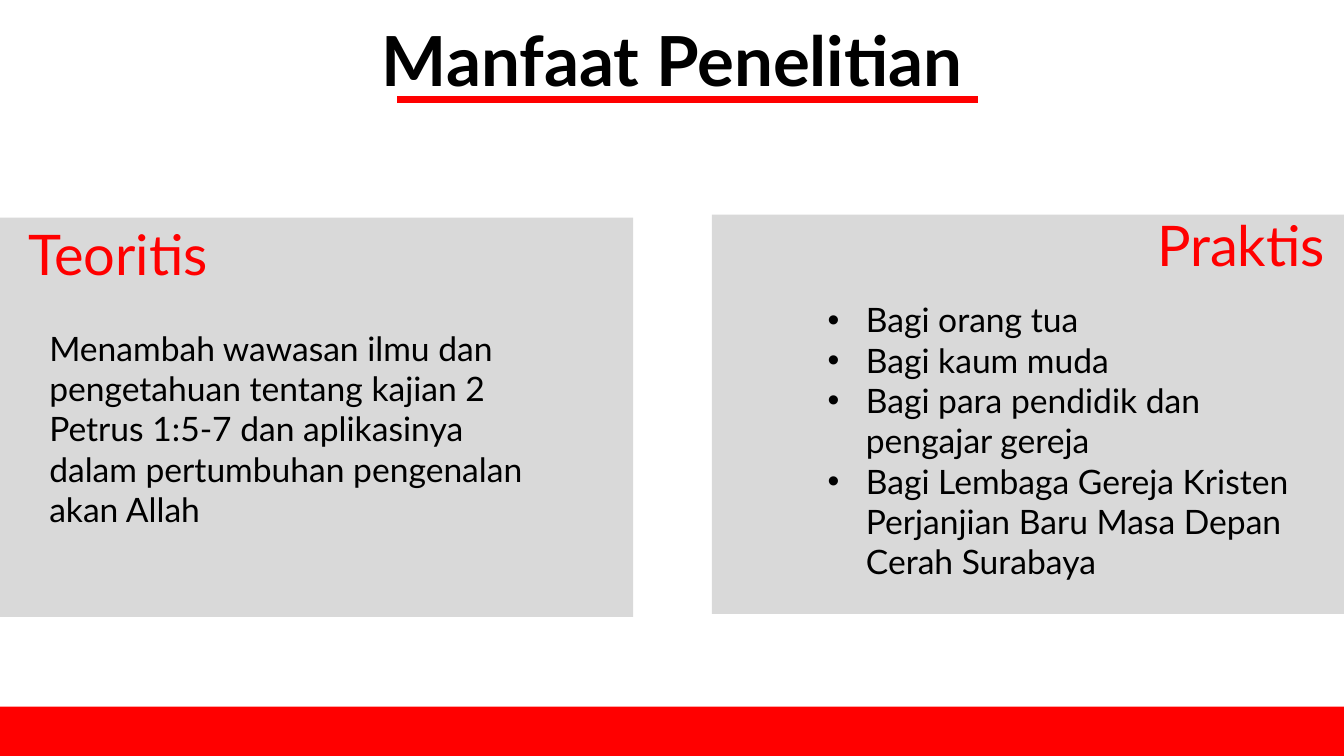
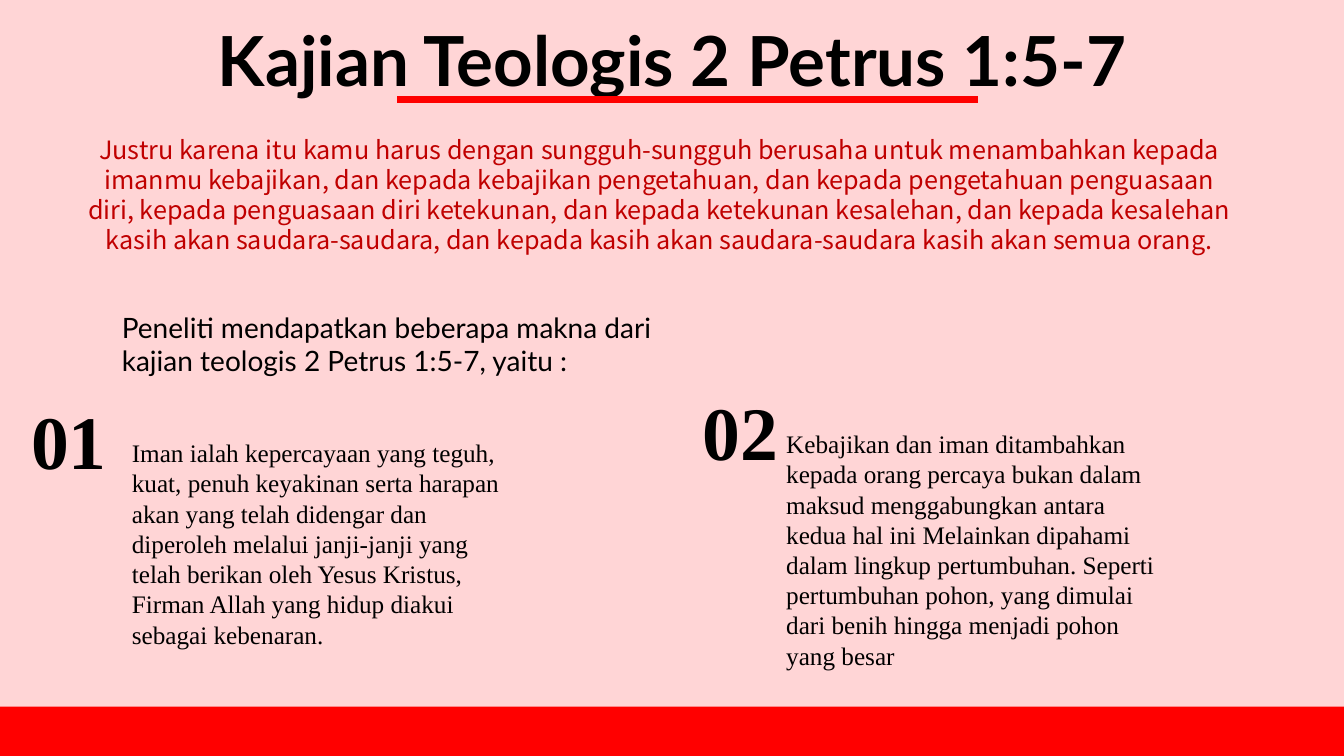
from lxml.etree import SubElement
from pptx import Presentation
from pptx.dml.color import RGBColor
from pptx.enum.shapes import MSO_CONNECTOR, MSO_SHAPE
from pptx.enum.text import MSO_AUTO_SIZE, PP_ALIGN
from pptx.oxml.ns import qn
from pptx.util import Inches, Pt

RED, DARK_RED, BLACK = "FF0000", "C00000", "000000"
WHITE, PINK, GREY = "FFFFFF", "FFD5D6", "D9D9D9"
SANS, SERIF, VERSE_FONT = "Lato", "Times New Roman", "Noto Sans CJK KR"
BULLET_INDENT = Inches(0.38)


def add_block(slide, left, top, width, height, color):
    block = slide.shapes.add_shape(
        MSO_SHAPE.RECTANGLE, Inches(left), Inches(top), Inches(width), Inches(height))
    block.shadow.inherit = False
    block.fill.solid()
    block.fill.fore_color.rgb = RGBColor.from_string(color)
    block.line.fill.background()


def add_text(slide, left, top, width, height, text, size, font=SANS, color=BLACK,
             bold=False, align=PP_ALIGN.LEFT, spacing=None, inset=True, bullets=False):
    """Add a text box with one paragraph per line of text."""
    box = slide.shapes.add_textbox(Inches(left), Inches(top), Inches(width), Inches(height))
    frame = box.text_frame
    frame.word_wrap = True
    frame.auto_size = MSO_AUTO_SIZE.SHAPE_TO_FIT_TEXT
    if not inset:
        frame.margin_left = frame.margin_right = frame.margin_top = frame.margin_bottom = 0
    frame.text = text
    for paragraph in frame.paragraphs:
        paragraph.alignment = align
        if spacing:
            paragraph.line_spacing = Pt(spacing)
        if bullets:
            properties = paragraph._p.get_or_add_pPr()
            properties.set("marL", str(BULLET_INDENT))
            properties.set("indent", str(-BULLET_INDENT))
            SubElement(properties, qn("a:buFont")).set("typeface", "Arial")
            SubElement(properties, qn("a:buChar")).set("char", "•")
        for run in paragraph.runs:
            run.font.name = font
            run.font.size = Pt(size)
            run.font.bold = bold
            run.font.color.rgb = RGBColor.from_string(color)


prs = Presentation()
prs.slide_width = Inches(13.33)
prs.slide_height = Inches(7.5)

# Shared frame: background, footer band, title and its underline
for title, background in [("Manfaat Penelitian", WHITE),
                          ("Kajian Teologis 2 Petrus 1:5-7", PINK)]:
    slide = prs.slides.add_slide(prs.slide_layouts[6])
    slide.background.fill.solid()
    slide.background.fill.fore_color.rgb = RGBColor.from_string(background)
    add_block(slide, 0, 7.01, 13.33, 0.49, RED)
    add_text(slide, 0.93, 0.17, 11.48, 0.83, title, 49.3, bold=True,
             align=PP_ALIGN.CENTER, spacing=59.2, inset=False)
    underline = slide.shapes.add_connector(
        MSO_CONNECTOR.STRAIGHT, Inches(3.94), Inches(0.99), Inches(9.7), Inches(0.99))
    underline.line.color.rgb = RGBColor.from_string(RED)
    underline.line.width = Pt(5)
    SubElement(underline._element.spPr, qn("a:effectLst"))

benefits, study = prs.slides

# Slide 1: theoretical and practical benefits
for left, top in [(0, 2.16), (7.06, 2.13)]:
    add_block(benefits, left, top, 6.28, 3.96, GREY)
add_text(benefits, 0.18, 2.13, 3.19, 0.77, "Teoritis", 40, color=RED)
add_text(benefits, 11.02, 2.04, 2.22, 0.77, "Praktis", 40, color=RED, align=PP_ALIGN.RIGHT)
add_text(benefits, 0.39, 3.2, 5.22, 2.12,
         "Menambah wawasan ilmu dan pengetahuan tentang kajian 2 Petrus 1:5-7 "
         "dan aplikasinya dalam pertumbuhan pengenalan akan Allah", 24)
beneficiaries = [
    "Bagi orang tua",
    "Bagi kaum muda",
    "Bagi para pendidik dan pengajar gereja",
    "Bagi Lembaga Gereja Kristen Perjanjian Baru Masa Depan Cerah Surabaya",
]
add_text(benefits, 8.11, 2.92, 5.22, 2.93, "\n".join(beneficiaries), 24, bullets=True)

# Slide 2: the verse and its numbered meanings
add_text(study, 0.8, 1.33, 11.48, 1.51,
         "Justru karena itu kamu harus dengan sungguh-sungguh berusaha untuk menambahkan "
         "kepada imanmu kebajikan, dan kepada kebajikan pengetahuan, dan kepada pengetahuan "
         "penguasaan diri, kepada penguasaan diri ketekunan, dan kepada ketekunan kesalehan, "
         "dan kepada kesalehan kasih akan saudara-saudara, dan kepada kasih akan "
         "saudara-saudara kasih akan semua orang.",
         18, VERSE_FONT, DARK_RED, align=PP_ALIGN.CENTER, inset=False)
add_text(study, 1.11, 3.03, 5.55, 0.77,
         "Peneliti mendapatkan beberapa makna dari kajian teologis 2 Petrus 1:5-7, yaitu :", 20)
meanings = [
    (0.21, 1.21, 3.86, 2.22,
     "Iman ialah kepercayaan yang teguh, kuat, penuh keyakinan serta harapan akan yang "
     "telah didengar dan diperoleh melalui janji-janji yang telah berikan oleh Yesus "
     "Kristus, Firman Allah yang hidup diakui sebagai kebenaran."),
    (6.87, 7.7, 3.77, 2.52,
     "Kebajikan dan iman ditambahkan kepada orang percaya bukan dalam maksud menggabungkan "
     "antara kedua hal ini Melainkan dipahami dalam lingkup pertumbuhan. Seperti "
     "pertumbuhan pohon, yang dimulai dari benih hingga menjadi pohon yang besar"),
]
for number, (number_left, meaning_left, top, height, meaning) in enumerate(meanings, 1):
    add_text(study, number_left, top, 1, 1.01, f"{number:02}", 54, SERIF, bold=True)
    add_text(study, meaning_left, top + 0.43, 4, height, meaning, 18, SERIF)

prs.save("out.pptx")
